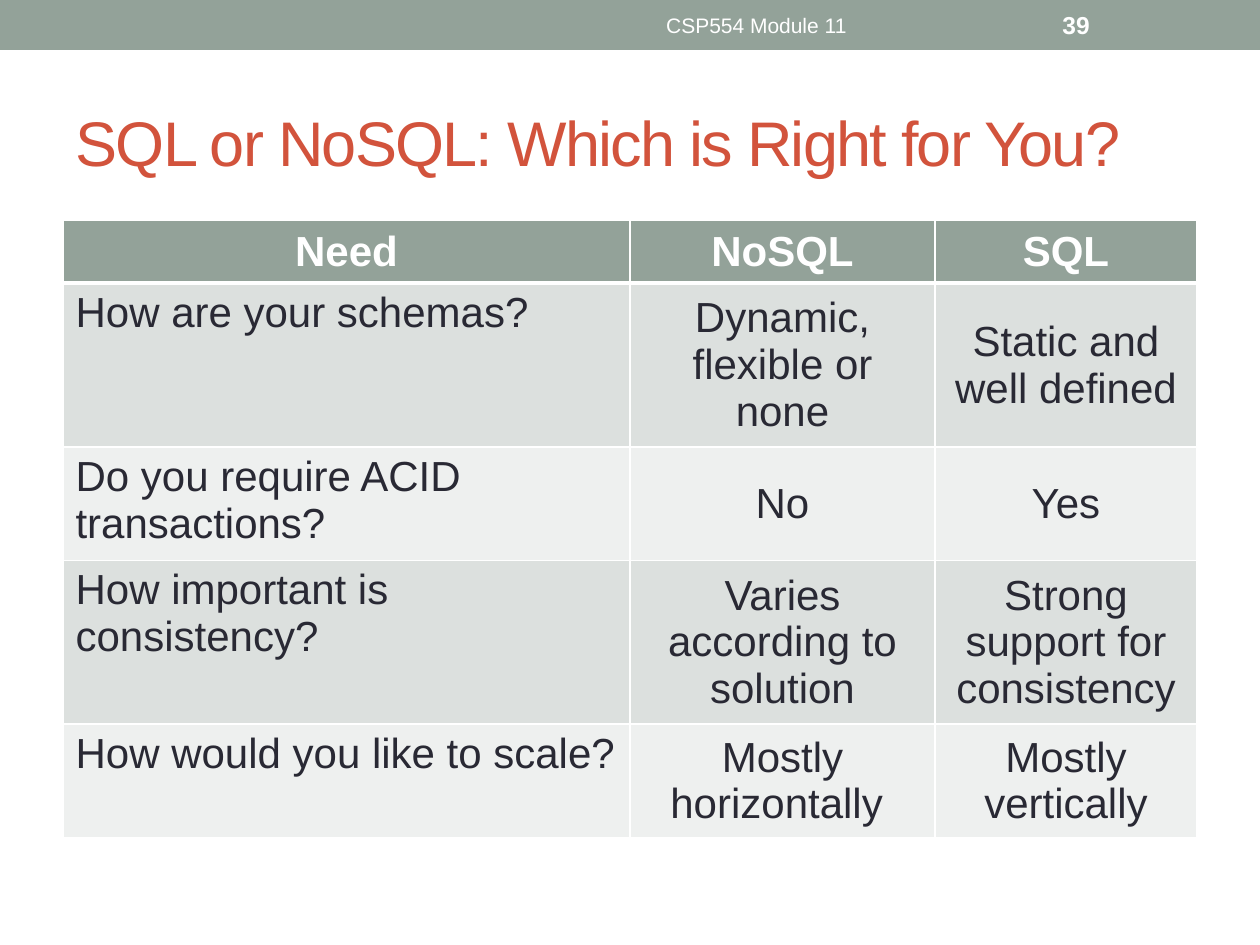
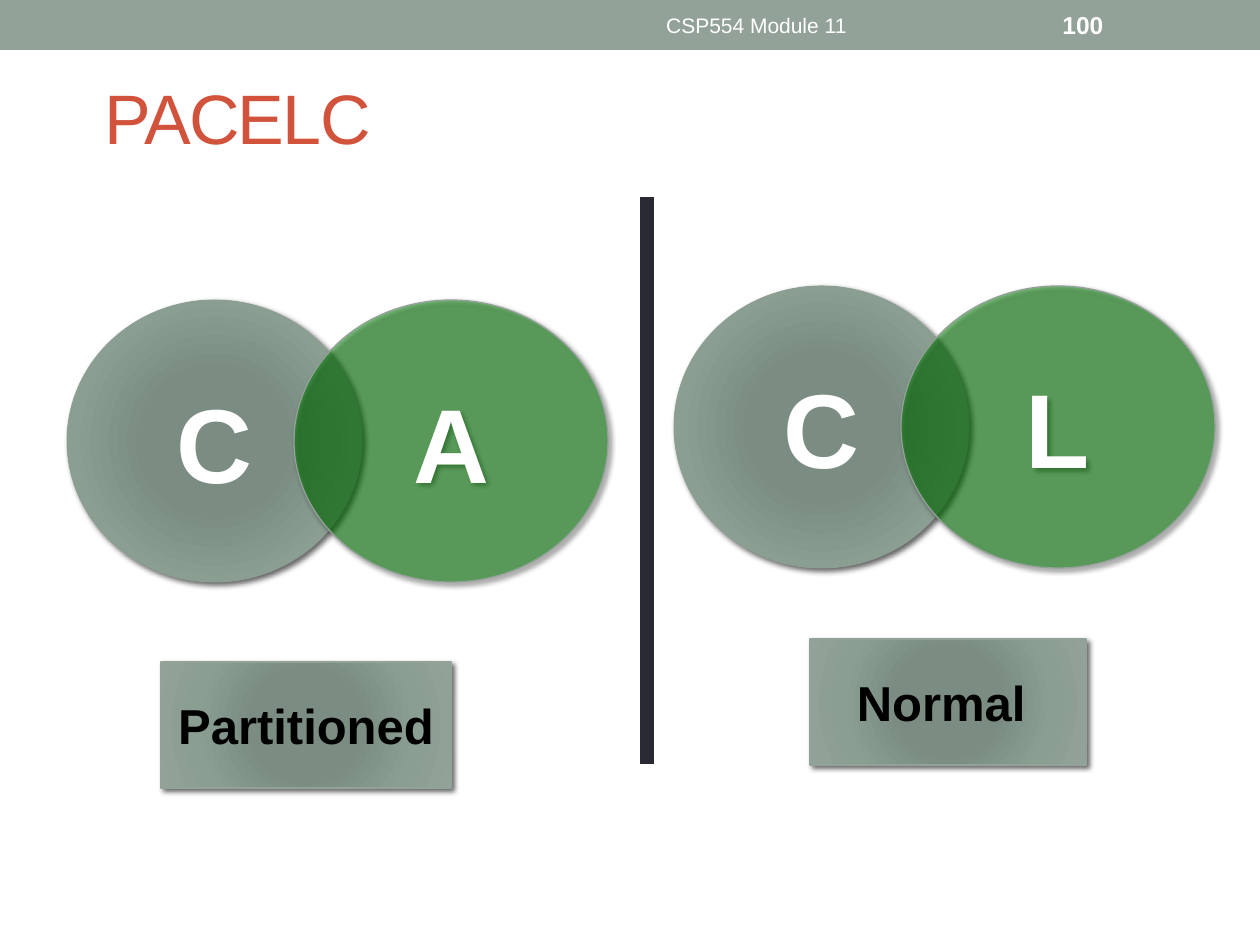
from lxml.etree import SubElement
from pptx import Presentation
from pptx.dml.color import RGBColor
from pptx.enum.shapes import MSO_CONNECTOR, MSO_SHAPE
from pptx.enum.text import MSO_ANCHOR, MSO_AUTO_SIZE, PP_ALIGN
from pptx.oxml import parse_xml
from pptx.oxml.ns import nsdecls, qn
from pptx.util import Emu, Pt

PX = 914400 / 126
FONT = "Arial"
SAGE = RGBColor(0x93, 0xA2, 0x99)
SAGE_EDGE = RGBColor(0x8F, 0x9F, 0x96)
RUST = RGBColor(0xD2, 0x53, 0x3C)
INK = RGBColor(0x29, 0x29, 0x34)
GREEN = RGBColor(0x00, 0x80, 0x00)
BLACK = RGBColor(0x00, 0x00, 0x00)
WHITE = RGBColor(0xFF, 0xFF, 0xFF)
ROW_FILLS = [RGBColor(0xDC, 0xE0, 0xDE), RGBColor(0xEE, 0xF0, 0xEF)]
SAGE_STOPS = [
    (0, RGBColor(0x7B, 0x8E, 0x82)),
    (34, RGBColor(0x7B, 0x8D, 0x83)),
    (70, RGBColor(0x8A, 0x9E, 0x92)),
    (100, SAGE),
]

FOOTER = "CSP554 Module 11"
COMPARISON = {
    "title": "SQL or NoSQL: Which is Right for You?",
    "title_box": (63, 73, 1134, 136),
    "title_size": 36,
    "number": "39",
}
PACELC = {
    "title": "PACELC",
    "title_box": (92, 38, 1134, 158),
    "title_size": 40,
    "number": "100",
}
NEEDS = [
    ("Need", "NoSQL", "SQL"),
    ("How are your schemas?", "Dynamic, flexible or none", "Static and well defined"),
    ("Do you require ACID transactions?", "No", "Yes"),
    (
        "How important is consistency?",
        "Varies according to\nsolution",
        "Strong support for\nconsistency",
    ),
    ("How would you like to scale?", "Mostly horizontally ", "Mostly vertically"),
]
COLUMN_WIDTHS = [567, 305, 262]
ROW_HEIGHT = 52
TABLE_HEIGHT = 617
TRADEOFFS = [
    {"letters": "CA", "at": (67, 300), "label": "Partitioned ", "label_box": (161, 662, 290, 126)},
    {"letters": "CL", "at": (674, 286), "label": "Normal ", "label_box": (810, 639, 276, 126)},
]
CIRCLE_WIDTHS = [295, 314]
CIRCLE_HEIGHT = 282
CIRCLE_STEP = 227


def px(*lengths):
    return [Emu(round(length * PX)) for length in lengths]


def write(text_frame, text, size, color, bold=False, align=PP_ALIGN.LEFT):
    text_frame.text = text
    for paragraph in text_frame.paragraphs:
        paragraph.alignment = align
        paragraph.font.name = FONT
        paragraph.font.size = Pt(size)
        paragraph.font.bold = bold
        paragraph.font.color.rgb = color


def add_band(presentation, layout, slide):
    band = slide.shapes.add_shape(
        MSO_SHAPE.RECTANGLE, *px(0, 0), presentation.slide_width, *px(50)
    )
    band.shadow.inherit = False
    band.fill.solid()
    band.fill.fore_color.rgb = SAGE
    band.line.fill.background()
    layout.shapes.element.insert(2, band.element)


def add_header_text(slide, box, text, size, bold, align):
    text_frame = slide.shapes.add_textbox(*px(*box)).text_frame
    text_frame.word_wrap = True
    text_frame.vertical_anchor = MSO_ANCHOR.MIDDLE
    write(text_frame, text, size, WHITE, bold, align)


def fill_frame(slide, content):
    title = slide.shapes.title
    title.left, title.top, title.width, title.height = px(*content["title_box"])
    text_frame = title.text_frame
    text_frame.auto_size = MSO_AUTO_SIZE.NONE
    text_frame.vertical_anchor = MSO_ANCHOR.MIDDLE
    write(text_frame, content["title"], content["title_size"], RUST)
    text_frame.paragraphs[0].runs[0].font._element.set("spc", "-100")
    add_header_text(slide, (473, 3, 567, 45), FOOTER, 12, False, PP_ALIGN.CENTER)
    add_header_text(slide, (1050, 2, 147, 45), content["number"], 14, True, PP_ALIGN.LEFT)


def set_borders(cell, top, bottom):
    properties = cell._tc.get_or_add_tcPr()
    for side, width in (("L", 1), ("R", 1), ("T", top), ("B", bottom)):
        border = SubElement(properties, qn(f"a:ln{side}"), w=str(Pt(width)))
        fill = SubElement(border, qn("a:solidFill"))
        SubElement(fill, qn("a:srgbClr"), val=str(WHITE))


def add_needs_table(slide):
    frame = slide.shapes.add_table(
        len(NEEDS), len(COLUMN_WIDTHS), *px(63, 220, sum(COLUMN_WIDTHS), TABLE_HEIGHT)
    )
    table = frame.table
    for column, width in zip(table.columns, px(*COLUMN_WIDTHS)):
        column.width = width
    for row in table.rows:
        row.height, = px(ROW_HEIGHT)
    frame.height, = px(TABLE_HEIGHT)
    for row_index, texts in enumerate(NEEDS):
        header = row_index == 0
        for column_index, text in enumerate(texts):
            cell = table.cell(row_index, column_index)
            question = column_index == 0 and not header
            set_borders(cell, 3 if row_index == 1 else 1, 3 if header else 1)
            cell.fill.solid()
            cell.fill.fore_color.rgb = SAGE if header else ROW_FILLS[(row_index - 1) % 2]
            cell.vertical_anchor = MSO_ANCHOR.TOP if question else MSO_ANCHOR.MIDDLE
            write(
                cell.text_frame, text, 24, WHITE if header else INK, header,
                PP_ALIGN.LEFT if question else PP_ALIGN.CENTER,
            )


def set_alpha(color_format_parent, percent):
    color = color_format_parent.find(".//" + qn("a:srgbClr"))
    SubElement(color, qn("a:alpha"), val=str(percent * 1000))


def fill_radial(shape):
    stops = "".join(
        f'<a:gs pos="{position * 1000}"><a:srgbClr val="{color}"/></a:gs>'
        for position, color in SAGE_STOPS
    )
    gradient = parse_xml(
        f'<a:gradFill {nsdecls("a")} rotWithShape="1"><a:gsLst>{stops}</a:gsLst>'
        '<a:path path="circle"><a:fillToRect l="50000" t="50000" r="50000" b="50000"/>'
        "</a:path></a:gradFill>"
    )
    shape.fill.background()
    properties = shape.element.spPr
    properties.replace(properties.find(qn("a:noFill")), gradient)


def add_shadowed(slide, kind, box, text, size, color, edge=SAGE):
    shape = slide.shapes.add_shape(kind, *px(*box))
    shape.line.color.rgb = edge
    shape.line.width = Pt(0.75)
    shape.shadow.inherit = False
    effects = shape.element.spPr.find(qn("a:effectLst"))
    shadow = SubElement(
        effects, qn("a:outerShdw"), blurRad=str(Pt(3)), dist=str(Pt(2)),
        dir=str(45 * 60000), algn="tl", rotWithShape="0",
    )
    SubElement(shadow, qn("a:srgbClr"), val=str(BLACK))
    set_alpha(shadow, 60)
    shape.text_frame.vertical_anchor = MSO_ANCHOR.MIDDLE
    write(shape.text_frame, text, size, color, True, PP_ALIGN.CENTER)
    return shape


def add_tradeoff(slide, tradeoff):
    left, top = tradeoff["at"]
    boxes = [
        (left + index * CIRCLE_STEP, top, width, CIRCLE_HEIGHT)
        for index, width in enumerate(CIRCLE_WIDTHS)
    ]
    first, second = tradeoff["letters"]
    consistency = add_shadowed(slide, MSO_SHAPE.OVAL, boxes[0], first, 60, WHITE, SAGE_EDGE)
    set_alpha(consistency.line._ln, 50)
    fill_radial(consistency)
    alternative = add_shadowed(slide, MSO_SHAPE.OVAL, boxes[1], second, 60, WHITE)
    alternative.fill.solid()
    alternative.fill.fore_color.rgb = GREEN
    set_alpha(alternative.element.spPr.find(qn("a:solidFill")), 50)
    label = add_shadowed(
        slide, MSO_SHAPE.RECTANGLE, tradeoff["label_box"], tradeoff["label"], 28, BLACK
    )
    fill_radial(label)


def add_divider(slide):
    divider = slide.shapes.add_connector(MSO_CONNECTOR.STRAIGHT, *px(647, 197, 647, 764))
    divider.line.color.rgb = INK
    divider.line.width = Pt(8)
    SubElement(divider.element.spPr, qn("a:effectLst"))


def main():
    presentation = Presentation()
    presentation.slide_width, presentation.slide_height = px(1260, 945)
    layout = presentation.slide_layouts[5]

    comparison_slide = presentation.slides.add_slide(layout)
    add_band(presentation, layout, comparison_slide)
    fill_frame(comparison_slide, COMPARISON)
    add_needs_table(comparison_slide)

    pacelc_slide = presentation.slides.add_slide(layout)
    fill_frame(pacelc_slide, PACELC)
    for tradeoff in TRADEOFFS:
        add_tradeoff(pacelc_slide, tradeoff)
    add_divider(pacelc_slide)

    presentation.save("out.pptx")


if __name__ == "__main__":
    main()
